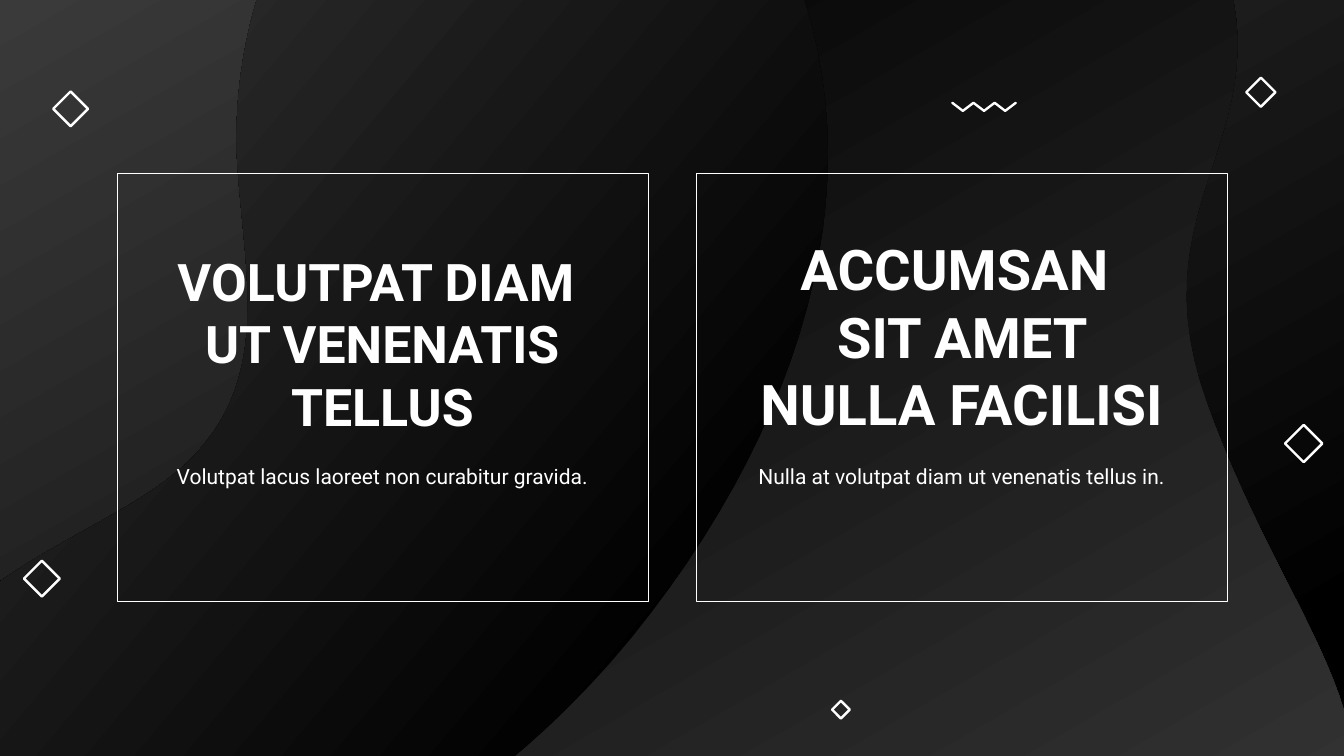
from dataclasses import dataclass
from typing import Optional

from lxml.etree import SubElement
from pptx import Presentation
from pptx.dml.color import RGBColor
from pptx.enum.shapes import MSO_SHAPE
from pptx.enum.text import MSO_ANCHOR, MSO_AUTO_SIZE, PP_ALIGN
from pptx.oxml.ns import qn
from pptx.util import Inches, Pt

COLUMNS, ROWS = 26.66, 15
WIDTH, HEIGHT = Inches(COLUMNS), Inches(ROWS)
WHITE, BLACK, CHARCOAL = "FFFFFF", "000000", "3B3A3A"
FONT = "Roboto"
STROKE = 3.4
CURVE_STEPS = 24

Point = tuple[float, float]


@dataclass
class Gradient:
    start: tuple[str, float]
    end: tuple[str, float]
    clockwise: int


@dataclass
class Blob:
    start: Point
    curves: list[tuple[float, ...]]
    gradient: Gradient


@dataclass
class Diamond:
    middle: Point
    size: float


@dataclass
class Card:
    left: float
    text_left: float
    paragraphs: list[list[str]]
    heading_size: int
    caption: str
    is_title: bool = False


BACKDROP = Gradient((CHARCOAL, 0), (BLACK, 0.91), 120)
BLOBS = [
    Blob((12.97, 3.38), [
        (10.8, 8.31, 7.64, 9.97, 3.88, 10.43),
        (-0.99, 11.03, -2.69, 13.28, -2.65, 15.54),
        (-2.55, 20.71, 3.84, 19.67, 9.11, 18.89),
        (10.44, 18.69, 14.2, 18.43, 15.47, 18.76),
        (16.96, 19.16, 18.61, 19.65, 20.18, 19.79),
        (23.27, 20.07, 26.39, 19.51, 26.85, 16.16),
        (27.19, 13.64, 25.32, 11.81, 23.95, 8.04),
        (22.58, 4.29, 25.03, 2.98, 24.46, -0.03),
        (23.48, -5.22, 16.16, -3.83, 12.97, 3.38),
    ], Gradient((BLACK, 0.19), (CHARCOAL, 1), 60)),
    Blob((-2.09, 14.06), [
        (-0.92, 11.11, 2.41, 10.62, 3.91, 8.98),
        (5.34, 7.4, 4.87, 5.49, 4.71, 3.31),
        (4.55, 1.1, 5.33, -2.26, 7.58, -3.53),
        (10.29, -5.06, 14.6, -4.2, 15.95, 0),
        (17.21, 3.93, 15.86, 8.28, 12.93, 12.14),
        (9.82, 16.25, 5.56, 18.14, 2.62, 18.92),
        (-1.2, 19.94, -3.29, 17.08, -2.09, 14.06),
    ], Gradient((BLACK, 0.22), ("3B3B3B", 0.98), 220)),
]
DIAMONDS = [
    Diamond((25.86, 8.8), 0.74),
    Diamond((0.83, 11.48), 0.71),
    Diamond((16.68, 14.08), 0.35),
    Diamond((25.01, 1.83), 0.58),
    Diamond((1.4, 2.16), 0.69),
]
ZIGZAG = [(18.89 + 0.21 * step, 2.2 if step % 2 else 2.04) for step in range(7)]
CARDS = [
    Card(13.81, 14.86, [["ACCUMSAN "], ["SIT AMET NULLA FACILISI"]], 80,
         "Nulla at volutpat diam ut venenatis tellus in."),
    Card(2.33, 3.37, [["VOLUTPAT DIAM ", "UT VENENATIS TELLUS"]], 74,
         "Volutpat lacus laoreet non curabitur gravida.", is_title=True),
]
CARD_TOP, CARD_WIDTH, CARD_HEIGHT = 3.43, 10.53, 8.51
TEXT_WIDTH = 8.43


def across(columns: float) -> int:
    return round(WIDTH * columns / COLUMNS)


def down(rows: float) -> int:
    return round(HEIGHT * rows / ROWS)


def place(left: float, top: float, width: float, height: float) -> tuple[int, ...]:
    return across(left), down(top), across(width), down(height)


def colour(value: str) -> RGBColor:
    return RGBColor.from_string(value)


def fill_gradient(shape, gradient: Gradient) -> None:
    shape.shadow.inherit = False
    shape.line.fill.background()
    shape.fill.gradient()
    shape.fill.gradient_angle = 360 - gradient.clockwise
    for stop, (value, position) in zip(shape.fill.gradient_stops,
                                       (gradient.start, gradient.end)):
        stop.color.rgb = colour(value)
        stop.position = position


def outline(shape, width: float, rounded: bool = False) -> None:
    shape.shadow.inherit = False
    shape.fill.background()
    shape.line.color.rgb = colour(WHITE)
    shape.line.width = Pt(width)
    if rounded:
        line = shape.line._get_or_add_ln()
        line.set("cap", "rnd")
        SubElement(line, qn("a:round"))


def draw_path(page, points: list[Point], close: bool):
    first, *rest = [(across(x), down(y)) for x, y in points]
    builder = page.shapes.build_freeform(*first, scale=1.0)
    builder.add_line_segments(rest, close=close)
    return builder.convert_to_shape()


def trace(blob: Blob) -> list[Point]:
    points = [blob.start]
    for x1, y1, x2, y2, x3, y3 in blob.curves:
        x0, y0 = points[-1]
        for step in range(1, CURVE_STEPS + 1):
            t = step / CURVE_STEPS
            u = 1 - t
            weights = (u ** 3, 3 * u * u * t, 3 * u * t * t, t ** 3)
            points.append((
                sum(w * x for w, x in zip(weights, (x0, x1, x2, x3))),
                sum(w * y for w, y in zip(weights, (y0, y1, y2, y3))),
            ))
    return points


def draw_backdrop(page) -> None:
    shape = page.shapes.add_shape(MSO_SHAPE.RECTANGLE, 0, 0, WIDTH, HEIGHT)
    fill_gradient(shape, BACKDROP)
    shape._element.spPr.xfrm.set("flipH", "1")


def draw_diamond(page, diamond: Diamond) -> None:
    x, y = diamond.middle
    size = diamond.size
    shape = page.shapes.add_shape(
        MSO_SHAPE.DIAMOND, *place(x - size / 2, y - size / 2, size, size))
    outline(shape, STROKE, rounded=True)


def write(box, paragraphs: list[list[str]], size: int, bold: bool,
          anchor: Optional[MSO_ANCHOR] = MSO_ANCHOR.TOP) -> None:
    frame = box.text_frame
    frame.word_wrap = True
    frame.auto_size = MSO_AUTO_SIZE.NONE
    frame.vertical_anchor = anchor
    frame.margin_left = frame.margin_right = 0
    frame.margin_top = frame.margin_bottom = 0
    for number, lines in enumerate(paragraphs):
        para = frame.add_paragraph() if number else frame.paragraphs[0]
        para.alignment = PP_ALIGN.CENTER
        for position, text in enumerate(lines):
            if position:
                para.add_line_break()
            span = para.add_run()
            span.text = text
            span.font.name = FONT
            span.font.size = Pt(size)
            span.font.bold = bold
            span.font.color.rgb = colour(WHITE)


def draw_card(page, card: Card) -> None:
    frame = page.shapes.add_shape(
        MSO_SHAPE.RECTANGLE, *place(card.left, CARD_TOP, CARD_WIDTH, CARD_HEIGHT))
    outline(frame, 1)
    caption = page.shapes.add_textbox(*place(card.text_left, 9.2, TEXT_WIDTH, 0.5))
    write(caption, [[card.caption]], 30, False)
    area = place(card.text_left, 4.62, TEXT_WIDTH, 4.04)
    if card.is_title:
        heading = page.shapes.title
        heading.left, heading.top, heading.width, heading.height = area
        page.shapes._spTree.append(heading._element)
    else:
        heading = page.shapes.add_textbox(*area)
    write(heading, card.paragraphs, card.heading_size, True, MSO_ANCHOR.BOTTOM)


def main() -> None:
    deck = Presentation()
    deck.slide_width, deck.slide_height = WIDTH, HEIGHT
    page = deck.slides.add_slide(deck.slide_layouts[5])
    draw_backdrop(page)
    for blob in BLOBS:
        fill_gradient(draw_path(page, trace(blob), close=True), blob.gradient)
    for diamond in DIAMONDS:
        draw_diamond(page, diamond)
    outline(draw_path(page, ZIGZAG, close=False), STROKE, rounded=True)
    for card in CARDS:
        draw_card(page, card)
    deck.save("out.pptx")


if __name__ == "__main__":
    main()
